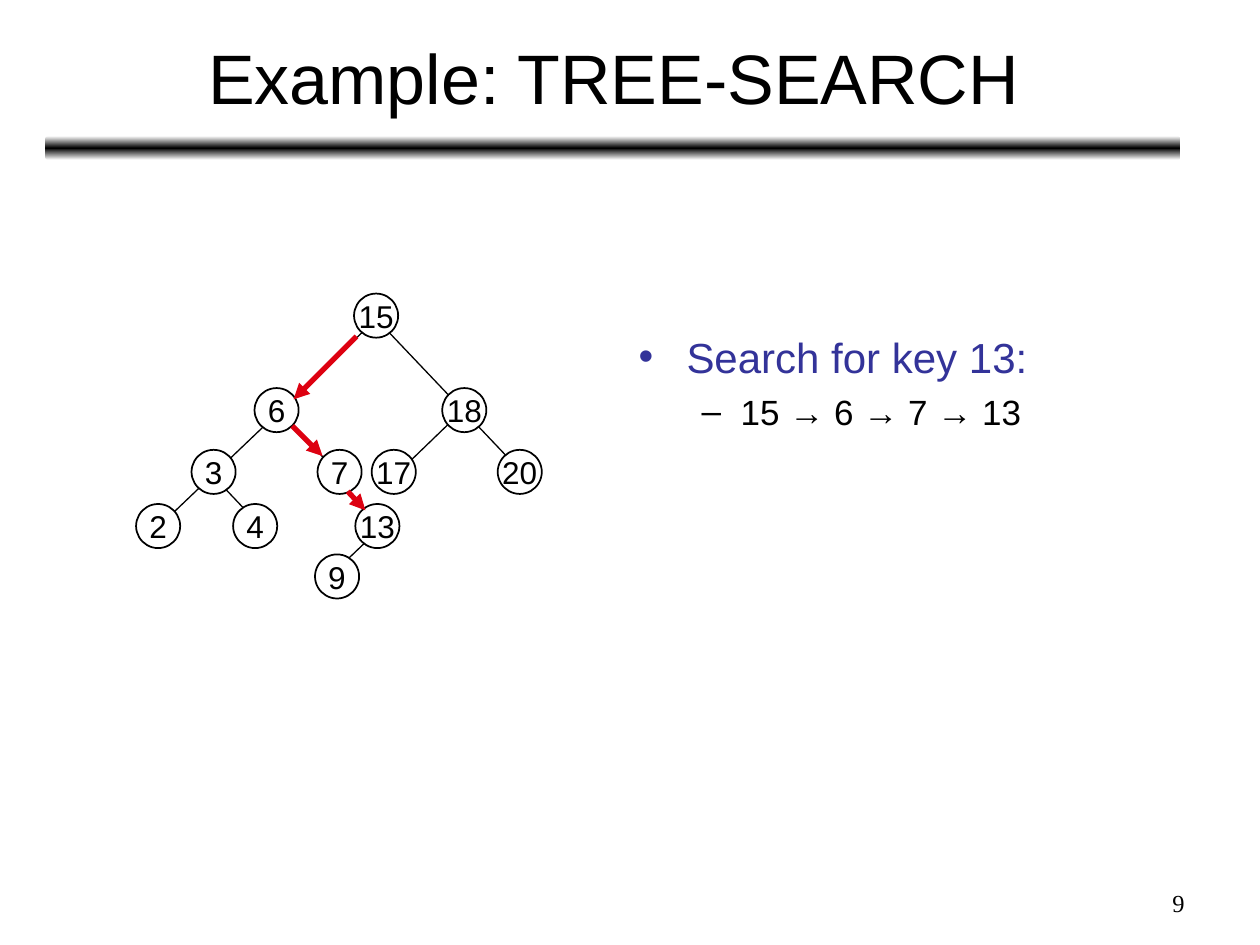
from copy import deepcopy

from lxml.etree import SubElement
from pptx import Presentation
from pptx.dml.color import RGBColor
from pptx.enum.shapes import MSO_CONNECTOR, MSO_SHAPE
from pptx.enum.text import MSO_ANCHOR, PP_ALIGN
from pptx.oxml.ns import qn
from pptx.util import Inches, Pt

BLACK, WHITE, NAVY, RED = "000000", "FFFFFF", "333399", "DD0111"
NODE_SIZE = 0.35
NODES = {
    "3": (0.44, 1.24), "2": (0, 1.67), "4": (0.77, 1.67), "6": (0.94, 0.75),
    "7": (1.44, 1.24), "13": (1.74, 1.67), "15": (1.73, 0), "18": (2.43, 0.75),
    "17": (1.87, 1.24), "20": (2.87, 1.24), "9": (1.42, 2.07),
}
BRANCHES = [
    (1.5, 2.28, 1.95, 1.85), (1.57, 1.47, 2, 1.92), (2.05, 1.45, 2.61, 0.91),
    (1.03, 1.89, 0.5, 1.33), (1.63, 1.45, 1.09, 0.89), (3.13, 1.49, 1.8, 0.09),
    (0.19, 1.84, 1.94, 0.17),
]
SEARCH_STEPS = [
    (1.75, 0.34, 1.25, 0.84), (1.24, 1.05, 1.48, 1.29), (1.68, 1.57, 1.82, 1.72),
]


def color(value):
    return RGBColor.from_string(value)


def apply(target, formats):
    for name, value in formats.items():
        setattr(target, name, value)


def write(paragraph, text, size, ink=BLACK, font="Arial", **formats):
    run = paragraph.add_run()
    run.text = text
    apply(run.font, {"size": Pt(size), "name": font})
    run.font.color.rgb = color(ink)
    apply(paragraph, formats)


def add_text_frame(slide, box, **formats):
    frame = slide.shapes.add_textbox(*map(Inches, box)).text_frame
    apply(frame, {"word_wrap": True, **formats})
    return frame


def add_title(slide, box):
    frame = add_text_frame(slide, box, vertical_anchor=MSO_ANCHOR.MIDDLE)
    write(frame.paragraphs[0], "Example: TREE-SEARCH", 40, alignment=PP_ALIGN.CENTER)


def add_rule(slide, box):
    rule = slide.shapes.add_shape(MSO_SHAPE.ROUNDED_RECTANGLE, *map(Inches, box))
    rule.shadow.inherit = False
    rule.line.fill.background()
    rule.fill.gradient()
    rule.fill.gradient_angle = 90
    stop_list = next(rule.element.iter(qn("a:gsLst")))
    stop_list.append(deepcopy(stop_list[0]))
    for stop, position, shade in zip(rule.fill.gradient_stops, (0, 0.5, 1), (WHITE, BLACK, WHITE)):
        stop.position = position
        stop.color.rgb = color(shade)


def set_bullet(paragraph, symbol, ink, margin, hanging):
    properties = paragraph._p.get_or_add_pPr()
    properties.set("marL", str(Inches(margin)))
    properties.set("indent", str(-Inches(hanging)))
    bullet_color = SubElement(properties, qn("a:buClr"))
    SubElement(bullet_color, qn("a:srgbClr"), val=ink)
    SubElement(properties, qn("a:buFont"), typeface="Arial")
    SubElement(properties, qn("a:buChar"), char=symbol)


def add_search_notes(slide, box):
    frame = add_text_frame(slide, box)
    key, route = frame.paragraphs[0], frame.add_paragraph()
    write(key, "Search for key 13:", 24, NAVY, space_before=Pt(6))
    set_bullet(key, "•", NAVY, 0.38, 0.38)
    write(route, "15 → 6 → 7 → 13", 20, space_before=Pt(5), level=1)
    set_bullet(route, "–", BLACK, 0.81, 0.31)


def add_edge(shapes, origin, ends, ink, width, arrow=False):
    left, top = origin
    x1, y1, x2, y2 = ends
    points = (left + x1, top + y1, left + x2, top + y2)
    edge = shapes.add_connector(MSO_CONNECTOR.STRAIGHT, *map(Inches, points))
    edge.line.color.rgb = color(ink)
    edge.line.width = Pt(width)
    if arrow:
        SubElement(edge.line._get_or_add_ln(), qn("a:tailEnd"), type="triangle")
    SubElement(edge.element.spPr, qn("a:effectLst"))


def add_node(shapes, key, left, top):
    node = shapes.add_shape(MSO_SHAPE.OVAL, *map(Inches, (left, top, NODE_SIZE, NODE_SIZE)))
    node.shadow.inherit = False
    node.fill.solid()
    node.fill.fore_color.rgb = color(WHITE)
    node.line.color.rgb = color(BLACK)
    node.line.width = Pt(1)
    apply(node.text_frame, {"word_wrap": False, "vertical_anchor": MSO_ANCHOR.MIDDLE})
    write(node.text_frame.paragraphs[0], key, 18, alignment=PP_ALIGN.CENTER)


def add_tree(slide, origin):
    left, top = origin
    tree = slide.shapes.add_group_shape().shapes
    for ends in BRANCHES:
        add_edge(tree, origin, ends, BLACK, 0.75)
    for key, (x, y) in NODES.items():
        add_node(tree, key, left + x, top + y)
    for ends in SEARCH_STEPS:
        add_edge(slide.shapes, origin, ends, RED, 3, arrow=True)


def add_page_number(slide, box):
    frame = add_text_frame(slide, box)
    write(frame.paragraphs[0], "9", 14, font="Times New Roman", alignment=PP_ALIGN.RIGHT)


def main():
    deck = Presentation()
    apply(deck, {"slide_width": Inches(10), "slide_height": Inches(7.5)})
    slide = deck.slides.add_slide(deck.slide_layouts[6])
    add_rule(slide, (0.36, 1.08, 9.01, 0.19))
    add_title(slide, (0.37, 0.11, 9, 0.99))
    add_search_notes(slide, (4.97, 2.58, 4.42, 1.92))
    add_tree(slide, (1.08, 2.33))
    add_page_number(slide, (7.17, 7, 2.33, 0.35))
    deck.save("out.pptx")


if __name__ == "__main__":
    main()
